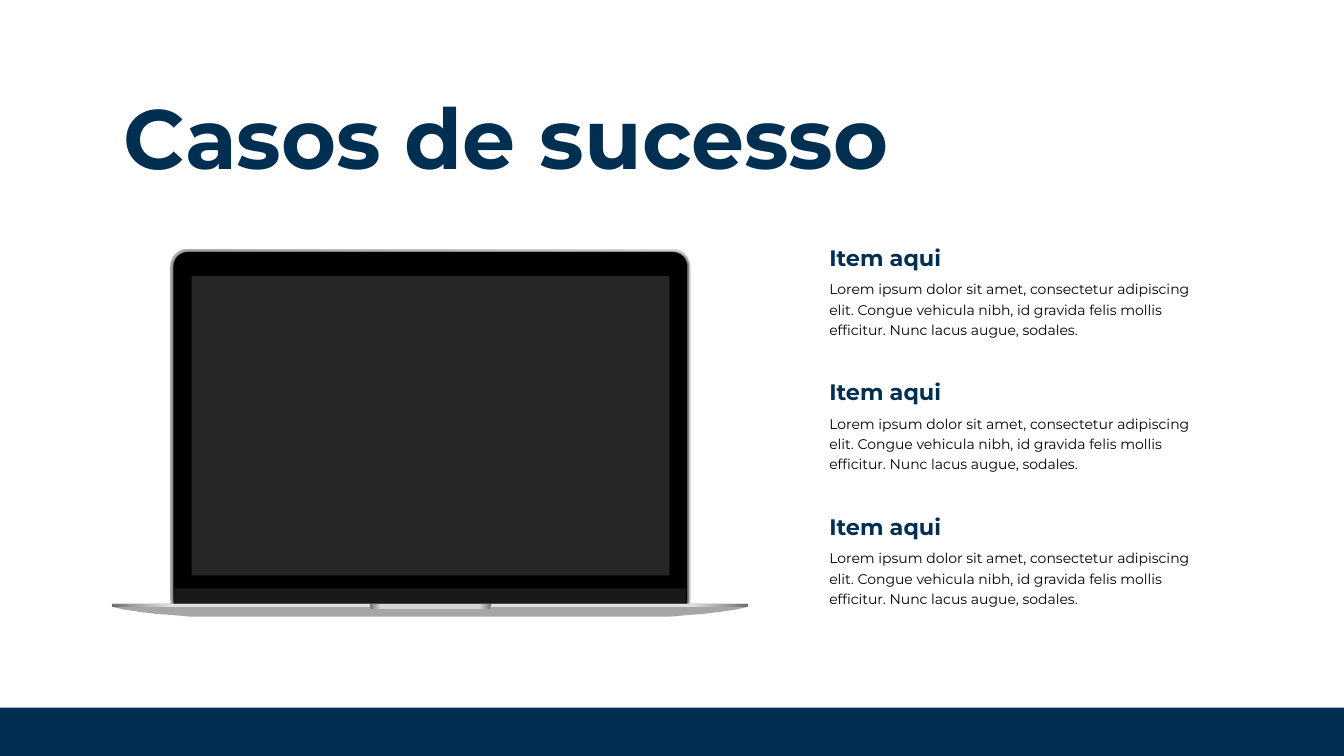
"""Build the success-cases slide with a laptop mockup and three items."""
from dataclasses import dataclass

from lxml import etree
from pptx import Presentation
from pptx.dml.color import RGBColor
from pptx.enum.shapes import MSO_SHAPE
from pptx.oxml.ns import qn
from pptx.shapes.autoshape import Shape
from pptx.slide import Slide
from pptx.util import Cm, Pt

RECTANGLE = MSO_SHAPE.RECTANGLE
ROUNDED = MSO_SHAPE.ROUNDED_RECTANGLE
ROUNDED_BOTTOM = MSO_SHAPE.ROUND_2_SAME_RECTANGLE

COLORS = {
    "navy": "002F51",
    "black": "000000",
    "strip": "181818",
    "display": "262626",
    "base": "A5A6A8",
    "steel": "B0B2B4",
    "silver": "DFE0E1",
    "edge": "686B6C",
    "shade": "96999A",
    "notch": "D3D5D6",
}
FONT = "Montserrat"
SLIDE_WIDTH, SLIDE_HEIGHT = 33.87, 19.05
BASE_LEFT, BASE_TOP, BASE_WIDTH = 2.82, 15.21, 16.03
BASE_PROFILE = [(0, 0), (0, 0.08), (0.3, 0.15), (0.64, 0.2), (1.12, 0.26), (1.53, 0.29), (2, 0.33)]
ITEM_LEFT, ITEM_TOP, ITEM_WIDTH, ITEM_PITCH = 20.65, 6.02, 10.13, 3.39
BODY_OFFSET = 0.85
ITEM_TITLE = "Item aqui"
ITEM_BODY = (
    "Lorem ipsum dolor sit amet, consectetur adipiscing elit. Congue vehicula nibh, "
    "id gravida felis mollis efficitur. Nunc lacus augue, sodales."
)
ITEMS = [(ITEM_TITLE, ITEM_BODY)] * 3

Stops = tuple[tuple[int, str], ...]


def metal_stops(middle: str) -> Stops:
    """Return a gradient that darkens symmetrically at both ends."""
    half = ((0, "edge"), (3, "shade"), (9, middle))
    return half + tuple((100 - position, color) for position, color in reversed(half))


@dataclass(frozen=True)
class Panel:
    """A preset shape with its place in centimetres and its fill."""

    left: float
    top: float
    width: float
    height: float
    fill: str | Stops
    kind: MSO_SHAPE = RECTANGLE
    corners: tuple[float, ...] = ()
    glow: bool = False


LID = [
    Panel(4.29, 6.27, 13.08, 9.25, ((0, "steel"), (100, "silver")), ROUNDED, (0.047,)),
    Panel(4.37, 6.35, 12.95, 9.12, "black", ROUNDED, (0.04,), glow=True),
    Panel(4.39, 14.83, 12.9, 0.61, "strip", ROUNDED_BOTTOM, (0, 0.5)),
    Panel(4.83, 6.96, 12.04, 7.54, "display"),
]
TRIM = [
    Panel(BASE_LEFT, BASE_TOP, BASE_WIDTH, 0.08, metal_stops("silver")),
    Panel(9.32, BASE_TOP, 3.05, 0.13, metal_stops("notch"), ROUNDED_BOTTOM, (0, 0.5)),
]
FOOTER = Panel(0, 17.83, SLIDE_WIDTH, 1.22, "navy")


def paint(shape: Shape, fill: str | Stops) -> None:
    """Fill a shape with one colour or a horizontal gradient, without outline or shadow."""
    shape.shadow.inherit = False
    shape.line.fill.background()
    if isinstance(fill, str):
        shape.fill.solid()
        shape.fill.fore_color.rgb = RGBColor.from_string(COLORS[fill])
        return
    shape.fill.gradient()
    shape.fill.gradient_angle = 0
    stop_list = shape.element.spPr.find(".//" + qn("a:gsLst"))
    for stop in list(stop_list):
        stop_list.remove(stop)
    for position, color in fill:
        stop = etree.SubElement(stop_list, qn("a:gs"), pos=str(position * 1000))
        etree.SubElement(stop, qn("a:srgbClr"), val=COLORS[color])


def add_glow(shape: Shape) -> None:
    """Give a shape a soft black shadow around its edge."""
    effects = shape.element.spPr.find(qn("a:effectLst"))
    shadow = etree.SubElement(effects, qn("a:outerShdw"), blurRad=str(Pt(2)), dist="0", dir="0")
    color = etree.SubElement(shadow, qn("a:srgbClr"), val=COLORS["black"])
    etree.SubElement(color, qn("a:alpha"), val="61000")


def add_panel(slide: Slide, panel: Panel) -> None:
    """Draw one panel."""
    shape = slide.shapes.add_shape(
        panel.kind, Cm(panel.left), Cm(panel.top), Cm(panel.width), Cm(panel.height)
    )
    for index, corner in enumerate(panel.corners):
        shape.adjustments[index] = corner
    paint(shape, panel.fill)
    if panel.glow:
        add_glow(shape)


def add_base(slide: Slide) -> None:
    """Draw the laptop base from its left profile and the mirrored right one."""
    mirrored = [(BASE_WIDTH - x, y) for x, y in reversed(BASE_PROFILE)]
    points = [(Cm(BASE_LEFT + x), Cm(BASE_TOP + y)) for x, y in BASE_PROFILE + mirrored]
    builder = slide.shapes.build_freeform(*points[0])
    builder.add_line_segments(points[1:], close=True)
    paint(builder.convert_to_shape(), "base")


def add_text(
    slide: Slide, text: str, *, left: float, top: float, width: float, height: float,
    size: float, color: str = "navy", bold: bool = True, spacing: float | Pt = 1.0,
) -> None:
    """Add a wrapped one-paragraph text box."""
    box = slide.shapes.add_textbox(Cm(left), Cm(top), Cm(width), Cm(height))
    box.text_frame.word_wrap = True
    paragraph = box.text_frame.paragraphs[0]
    paragraph.line_spacing = spacing
    run = paragraph.add_run()
    run.text = text
    run.font.name = FONT
    run.font.size = Pt(size)
    run.font.bold = bold
    run.font.color.rgb = RGBColor.from_string(COLORS[color])


def main() -> None:
    """Build and save the presentation."""
    presentation = Presentation()
    presentation.slide_width = Cm(SLIDE_WIDTH)
    presentation.slide_height = Cm(SLIDE_HEIGHT)
    slide = presentation.slides.add_slide(presentation.slide_layouts[6])

    for panel in LID:
        add_panel(slide, panel)
    add_base(slide)
    for panel in TRIM:
        add_panel(slide, panel)

    add_text(slide, "Casos de sucesso", left=2.87, top=2.11, width=27.15, height=2.74,
             size=60, spacing=Pt(70))
    add_panel(slide, FOOTER)
    for index, (title, body) in enumerate(ITEMS):
        top = ITEM_TOP + index * ITEM_PITCH
        add_text(slide, body, left=ITEM_LEFT, top=top + BODY_OFFSET, width=ITEM_WIDTH,
                 height=2.06, size=10, color="black", bold=False, spacing=1.2)
        add_text(slide, title, left=ITEM_LEFT, top=top, width=ITEM_WIDTH, height=0.94, size=16)

    presentation.save("out.pptx")


if __name__ == "__main__":
    main()
